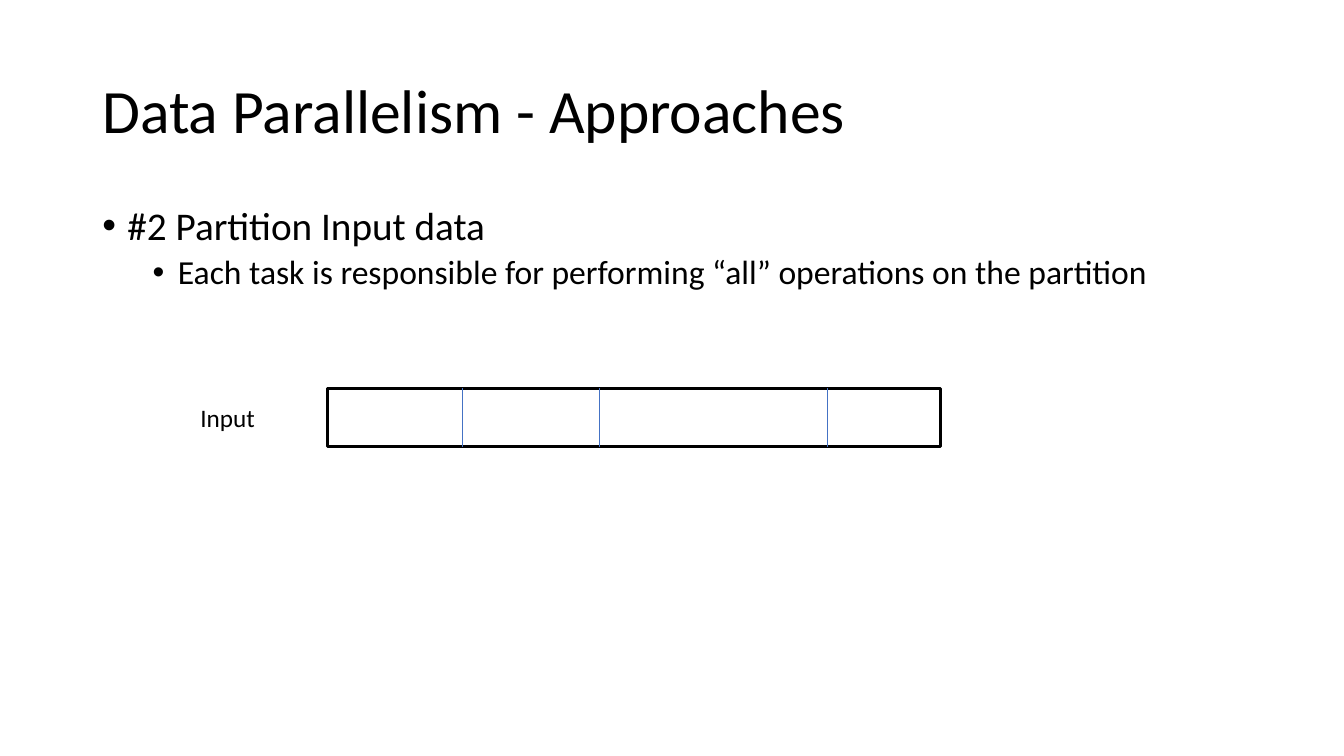
from lxml import etree
from pptx import Presentation
from pptx import util as u
from pptx.dml.color import RGBColor
from pptx.enum import shapes, text
from pptx.oxml.ns import qn

COLORS = {"ink": "000000", "paper": "FFFFFF", "divider": "4472C4"}


class SlideBuilder:
    """Holds the style and the current slide; lengths are in points."""

    font_name = "Calibri"

    def __init__(self, slide):
        self.slide = slide

    def color(self, name):
        return RGBColor.from_string(COLORS[name])

    def style(self, paragraph, size):
        font = paragraph.font
        font.name, font.size = self.font_name, u.Pt(size)
        font.color.rgb = self.color("ink")

    def text_box(self, left, top, width, height, wrap=True, anchor=text.MSO_ANCHOR.TOP):
        box = self.slide.shapes.add_textbox(*map(u.Pt, (left, top, width, height)))
        frame = box.text_frame
        frame.word_wrap = wrap
        frame.vertical_anchor = anchor
        return frame

    def label(self, frame, words, size, line_spacing=1.0):
        paragraph = frame.paragraphs[0]
        paragraph.text = words
        paragraph.line_spacing = line_spacing
        self.style(paragraph, size)

    def bullets(self, frame, items):
        for index, (level, words, size) in enumerate(items):
            paragraph = frame.add_paragraph() if index else frame.paragraphs[0]
            paragraph.text = words
            paragraph.level = level
            paragraph.line_spacing = 0.9
            if index:
                paragraph.space_before = u.Pt(5)
            properties = paragraph._p.get_or_add_pPr()
            properties.set("marL", str(u.Pt(18 + 36 * level)))
            properties.set("indent", str(u.Pt(-18)))
            etree.SubElement(properties, qn("a:buFont")).set("typeface", "Arial")
            etree.SubElement(properties, qn("a:buChar")).set("char", "•")
            self.style(paragraph, size)

    def rectangle(self, left, top, width, height, line_width):
        shape = self.slide.shapes.add_shape(
            shapes.MSO_SHAPE.RECTANGLE, *map(u.Pt, (left, top, width, height)))
        shape.shadow.inherit = False
        shape.fill.solid()
        shape.fill.fore_color.rgb = self.color("paper")
        shape.line.color.rgb = self.color("ink")
        shape.line.width = u.Pt(line_width)

    def vertical_line(self, x, top, bottom, line_width):
        connector = self.slide.shapes.add_connector(
            shapes.MSO_CONNECTOR.STRAIGHT, *map(u.Pt, (x, top, x, bottom)))
        connector.line.color.rgb = self.color("divider")
        connector.line.width = u.Pt(line_width)
        etree.SubElement(connector._element.spPr, qn("a:effectLst"))


def main():
    presentation = Presentation()
    presentation.slide_width, presentation.slide_height = u.Pt(960), u.Pt(540)
    builder = SlideBuilder(presentation.slides.add_slide(presentation.slide_layouts[6]))

    # Title
    title = builder.text_box(66, 28.8, 828, 104.4, anchor=text.MSO_ANCHOR.MIDDLE)
    builder.label(title, "Data Parallelism - Approaches", 44, line_spacing=0.9)

    # Bullets
    body = builder.text_box(66, 144, 828, 89.3)
    builder.bullets(body, [
        (0, "#2 Partition Input data", 28),
        (1, "Each task is responsible for performing “all” operations on the partition", 24),
    ])

    # Input bar, cut into partitions
    bar_top, bar_height = 277.2, 41.8
    builder.rectangle(234, bar_top, 437.8, bar_height, 2.25)
    for divider_x in (330.5, 428.4, 591.1):
        builder.vertical_line(divider_x, bar_top, bar_top + bar_height, 0.5)

    # Bar label
    input_label = builder.text_box(136.1, 283.7, 58.3, 28.8, wrap=False)
    input_label.auto_size = text.MSO_AUTO_SIZE.SHAPE_TO_FIT_TEXT
    builder.label(input_label, "Input", 18)

    presentation.save("out.pptx")


if __name__ == "__main__":
    main()
